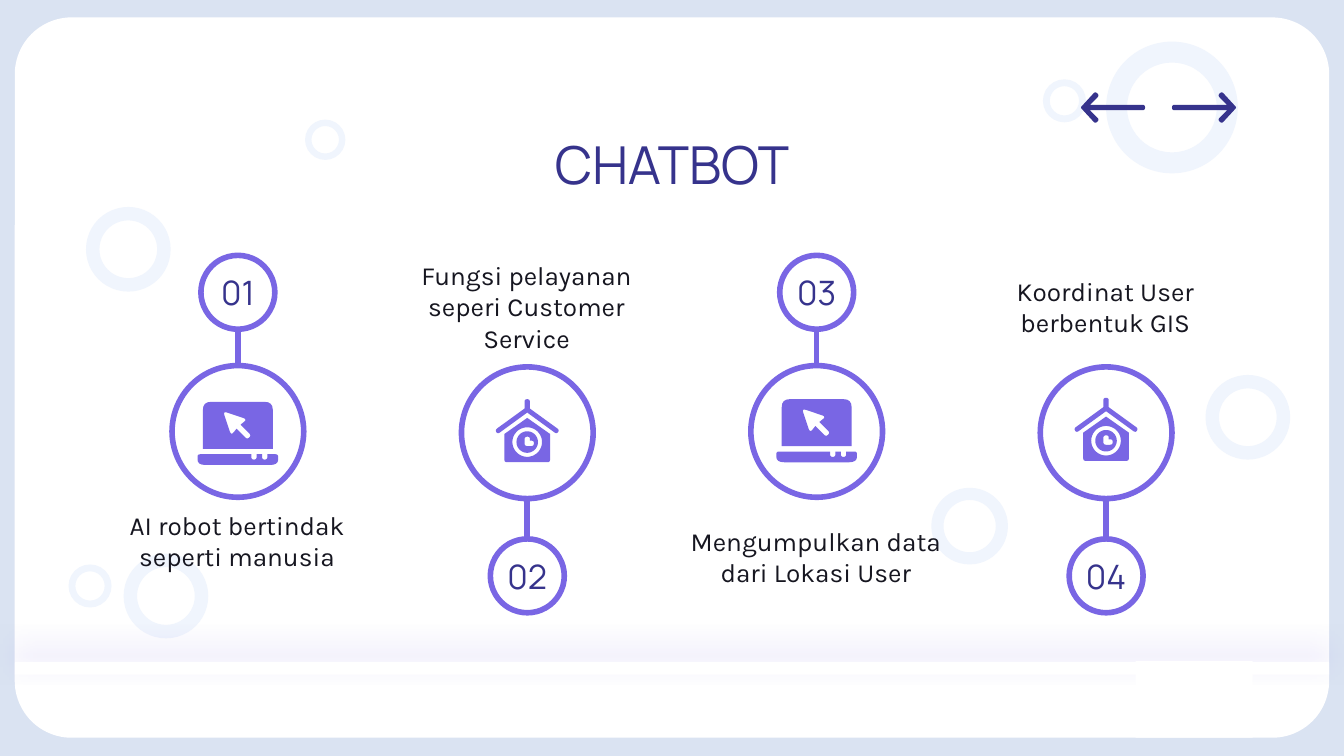
from math import cos, dist, pi, sin

from lxml.etree import SubElement
from pptx import Presentation
from pptx.dml.color import RGBColor
from pptx.enum.shapes import MSO_CONNECTOR, MSO_SHAPE
from pptx.enum.text import MSO_ANCHOR, PP_ALIGN
from pptx.oxml.ns import qn
from pptx.util import Inches, Pt

PURPLE, NAVY, INK, WHITE = "7966E4", "36338C", "161620", "FFFFFF"
PALE, BACKDROP = "F0F5FD", "DAE3F2"
FIRST_CENTER, LAST_CENTER = 1.77, 8.23
COLUMN_STEP = (LAST_CENTER - FIRST_CENTER) / 3
DISC, BADGE = 0.98, 0.55

# left, top, diameter
BUBBLES = [(8.23, 0.31, 0.98), (8.97, 2.79, 0.63), (0.51, 4.2, 0.32),
           (0.64, 1.54, 0.63), (0.92, 4.12, 0.63), (6.93, 3.63, 0.57),
           (2.27, 0.89, 0.3), (7.76, 0.59, 0.32)]

# Icon outlines: x from the centre line, y from the top, optional corner radius
SCREEN = [(-0.26, 0, 0.06), (0.26, 0, 0.06), (0.26, 0.35), (-0.26, 0.35)]
CURSOR = [(-0.11, 0.07, 0.03), (0.07, 0.13, 0.03), (0.02, 0.17), (0.1, 0.25, 0.02),
          (0.07, 0.28, 0.02), (-0.01, 0.2), (-0.05, 0.25, 0.03)]
KEYBOARD = [(-0.3, 0.39, 0.02), (0.1, 0.39), (0.1, 0.43, 0.02), (0.14, 0.43, 0.02),
            (0.14, 0.39), (0.18, 0.39), (0.18, 0.43, 0.02), (0.22, 0.43, 0.02),
            (0.22, 0.39), (0.3, 0.39, 0.02), (0.3, 0.47, 0.06), (-0.3, 0.47, 0.06)]
WALLS = [(0, 0.14), (0.17, 0.26), (0.17, 0.47, 0.02), (-0.17, 0.47, 0.02), (-0.17, 0.26)]
HANDS = [(-0.02, 0.28, 0.02), (0.02, 0.28, 0.02), (0.02, 0.31), (0.05, 0.31, 0.02),
         (0.05, 0.35, 0.02), (-0.02, 0.35, 0.02)]
ROOF = [(-0.02, 0, 0.02), (0.02, 0, 0.02), (0.02, 0.07), (0.24, 0.23, 0.02),
        (0.22, 0.26, 0.02), (0, 0.1), (-0.22, 0.26, 0.02), (-0.24, 0.23, 0.02),
        (-0.02, 0.07)]
ARROW = [(-0.24, 0.09, 0.02), (0.17, 0.09), (0.1, 0.02, 0.02), (0.13, -0.01, 0.02),
         (0.24, 0.11, 0.01), (0.13, 0.23, 0.02), (0.1, 0.2, 0.02), (0.17, 0.13),
         (-0.24, 0.13, 0.02)]


def color(value):
    return RGBColor.from_string(value)


def round_corners(outline):
    """Replace each corner that has a radius by a short quadratic curve."""
    points = []
    for index, (x, y, *radius) in enumerate(outline):
        if not radius:
            points.append((x, y))
            continue
        ends = []
        for other in (outline[index - 1], outline[(index + 1) % len(outline)]):
            share = min(radius[0] / dist((x, y), other[:2]), 0.5)
            ends.append((x + (other[0] - x) * share, y + (other[1] - y) * share))
        (ax, ay), (bx, by) = ends
        for t in (0, 0.25, 0.5, 0.75, 1):
            points.append(((1 - t) ** 2 * ax + 2 * t * (1 - t) * x + t * t * bx,
                           (1 - t) ** 2 * ay + 2 * t * (1 - t) * y + t * t * by))
    return points


def circle_outline(y, radius, steps=48):
    angles = [2 * pi * step / steps for step in range(steps)]
    return [(radius * cos(angle), y + radius * sin(angle)) for angle in angles]


def style(shape, fill=None, line=None):
    shape.shadow.inherit = False
    if fill:
        shape.fill.solid()
        shape.fill.fore_color.rgb = color(fill)
    else:
        shape.fill.background()
    if line:
        shape.line.color.rgb = color(line)
        shape.line.width = Pt(3)
    else:
        shape.line.fill.background()


def add_preset(slide, kind, left, top, width, height, fill=None, line=None, adjustment=None):
    shape = slide.shapes.add_shape(kind, Inches(left), Inches(top),
                                   Inches(width), Inches(height))
    if adjustment is not None:
        shape.adjustments[0] = adjustment
    style(shape, fill, line)


def add_outline(slide, center, top, fill, *outlines, direction=1):
    """Draw the first outline filled, with the others cut out of it."""
    builder = None
    for outline in outlines:
        start, *rest = [(Inches(center + direction * x), Inches(top + y))
                        for x, y in round_corners(outline)]
        if builder is None:
            builder = slide.shapes.build_freeform(*start, scale=1.0)
        else:
            builder.move_to(*start)
        builder.add_line_segments(rest, close=True)
    style(builder.convert_to_shape(), fill)


def add_text(slide, text, left, top, width, height, size, font, fill, bottom=0):
    box = slide.shapes.add_textbox(Inches(left), Inches(top), Inches(width), Inches(height))
    frame = box.text_frame
    frame.word_wrap = True
    frame.vertical_anchor = MSO_ANCHOR.MIDDLE
    frame.margin_left = frame.margin_right = frame.margin_top = 0
    frame.margin_bottom = Inches(bottom)
    paragraph = frame.paragraphs[0]
    paragraph.text = text
    paragraph.alignment = PP_ALIGN.CENTER
    paragraph.font.size = Pt(size)
    paragraph.font.name = font
    paragraph.font.color.rgb = color(fill)


def add_line(slide, x1, y1, x2, y2, fill, width):
    """Add a straight line and return its empty effect list."""
    line = slide.shapes.add_connector(MSO_CONNECTOR.STRAIGHT, Inches(x1), Inches(y1),
                                      Inches(x2), Inches(y2))
    line.line.color.rgb = color(fill)
    line.line.width = Pt(width)
    return SubElement(line._element.spPr, qn("a:effectLst"))


def add_laptop(slide, center, top):
    add_outline(slide, center, top, PURPLE, KEYBOARD)
    add_outline(slide, center, top, PURPLE, SCREEN, CURSOR)


def add_clock_house(slide, center, top):
    add_outline(slide, center, top, PURPLE, WALLS, circle_outline(0.32, 0.11))
    add_outline(slide, center, top, PURPLE, circle_outline(0.32, 0.08), HANDS)
    add_outline(slide, center, top, PURPLE, ROOF)


def add_step(slide, index, caption, caption_top, icon, icon_top):
    center = FIRST_CENTER + index * COLUMN_STEP
    badge_above = index % 2 == 0
    disc_top = 2.72 if badge_above else 2.73
    badge_top = 1.9 if badge_above else 4.01
    add_preset(slide, MSO_SHAPE.OVAL, center - DISC / 2, disc_top, DISC, DISC, line=PURPLE)
    add_preset(slide, MSO_SHAPE.OVAL, center - BADGE / 2, badge_top, BADGE, BADGE, line=PURPLE)
    ends = (badge_top + BADGE, disc_top) if badge_above else (disc_top + DISC, badge_top)
    add_line(slide, center, ends[0], center, ends[1], PURPLE, 3)
    add_text(slide, f"{index + 1:02}", center - BADGE / 2, badge_top + 0.09, BADGE, 0.37,
             18, "Manrope", NAVY)
    add_text(slide, caption, center - 0.94, caption_top, 1.87, 0.72, 14, "Karla", INK,
             bottom=0.1)
    icon(slide, center, icon_top)


def add_footer(slide):
    effects = add_line(slide, 9.89, 4.93, 0.11, 4.93, WHITE, 0.75)
    shadow = SubElement(effects, qn("a:outerShdw"), blurRad=str(Pt(15.8)),
                        dist=str(Pt(4.5)), dir=str(264 * 60000), algn="bl",
                        rotWithShape="0")
    SubElement(shadow, qn("a:srgbClr"), val=PURPLE)
    add_preset(slide, MSO_SHAPE.RECTANGLE, 0.11, 4.93, 9.78, 0.09, fill=WHITE)
    add_preset(slide, MSO_SHAPE.RECTANGLE, 8.45, 4.92, 0.87, 0.57, fill=WHITE)


def main():
    presentation = Presentation()
    presentation.slide_width = Inches(10)
    presentation.slide_height = Inches(10 * 9 / 16)
    slide = presentation.slides.add_slide(presentation.slide_layouts[6])
    slide.background.fill.solid()
    slide.background.fill.fore_color.rgb = color(BACKDROP)

    add_preset(slide, MSO_SHAPE.ROUNDED_RECTANGLE, 0.11, 0.13, 9.78, 5.36,
               fill=WHITE, adjustment=0.079)
    for left, top, diameter in BUBBLES:
        add_preset(slide, MSO_SHAPE.DONUT, left, top, diameter, diameter,
                   fill=PALE, adjustment=0.159)
    add_text(slide, "CHATBOT", 0.78, 0.9, 8.44, 0.63, 28, "Manrope", NAVY)
    add_footer(slide)

    steps = [
        ("AI robot bertindak seperti manusia", 3.71, add_laptop, 2.99),
        ("Fungsi pelayanan seperi Customer Service", 1.97, add_clock_house, 2.97),
        ("Mengumpulkan data dari Lokasi User", 3.83, add_laptop, 2.97),
        ("Koordinat User berbentuk GIS", 1.97, add_clock_house, 2.96),
    ]
    for index, step in enumerate(steps):
        add_step(slide, index, *step)

    for center, direction in ((8.28, -1), (8.96, 1)):
        add_outline(slide, center, 0.69, NAVY, ARROW, direction=direction)
    presentation.save("out.pptx")


if __name__ == "__main__":
    main()
